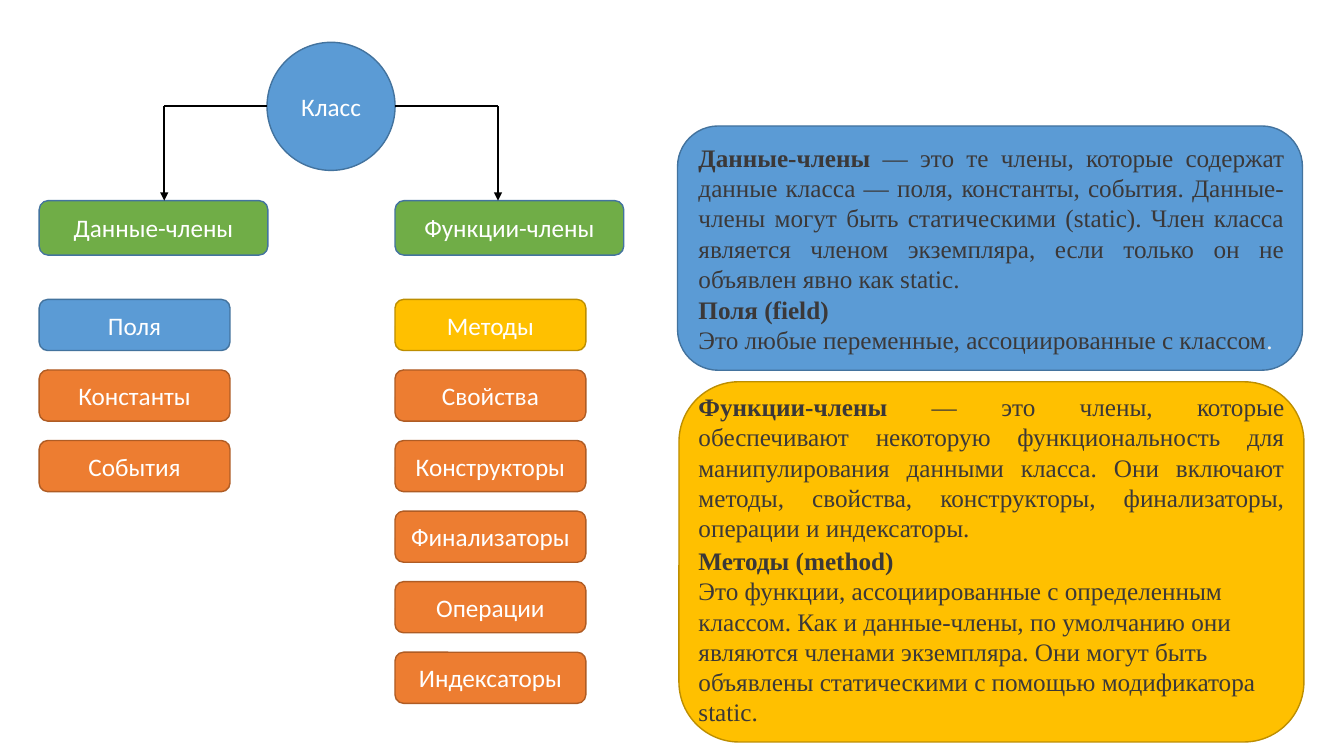
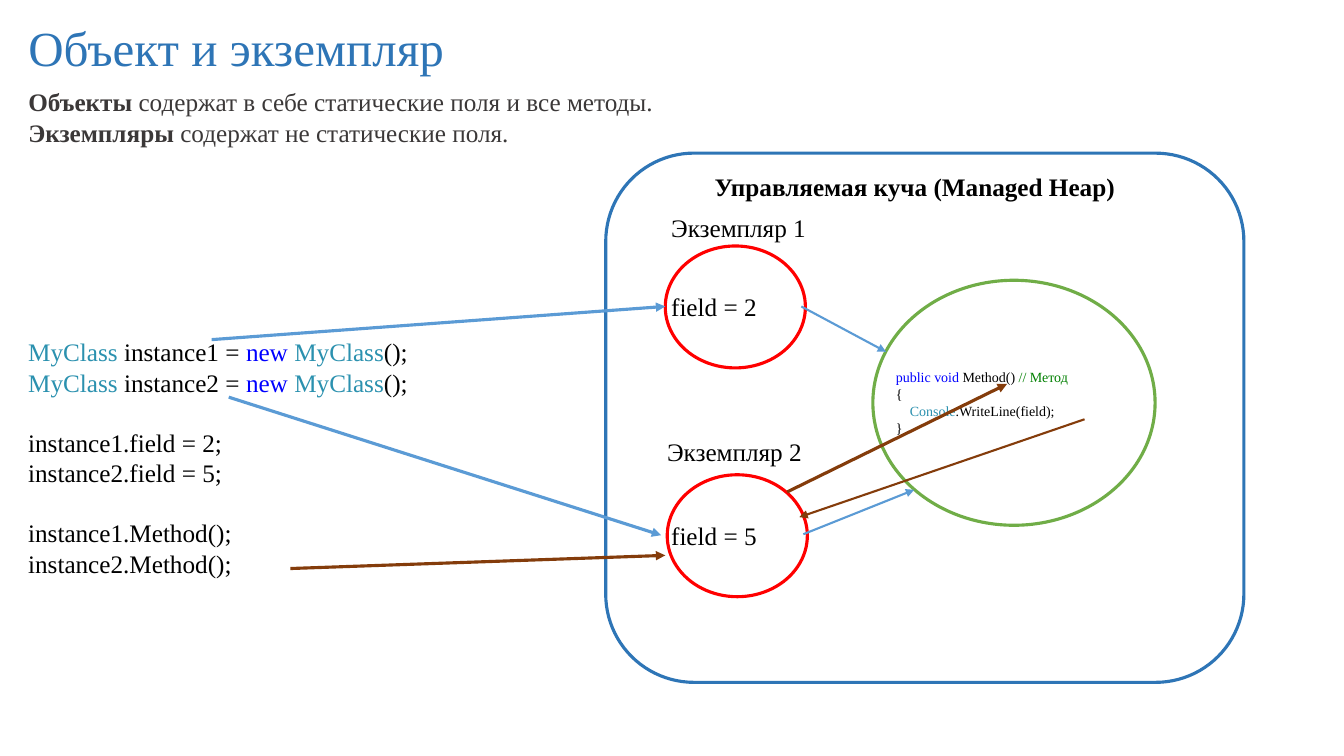
from lxml import etree
from pptx import Presentation
from pptx.dml.color import RGBColor
from pptx.enum.shapes import MSO_CONNECTOR, MSO_SHAPE
from pptx.enum.text import MSO_ANCHOR, PP_ALIGN
from pptx.oxml.ns import qn
from pptx.util import Pt

# Shared style
COLORS = {
    "blue": "5B9BD5", "blue_edge": "43739E", "deep_blue": "2E75B6",
    "green": "70AD47", "orange": "ED7D31", "orange_edge": "AF5C24",
    "gold": "FFC000", "gold_edge": "BD8E00", "brown": "843C0B", "red": "FF0000",
    "ink": "3B3838", "black": "000000", "white": "FFFFFF", "pale": "F2F2F2",
    "type": "2B91AF", "keyword": "0000FF", "comment": "008000",
}
SERIF, SANS = "Times New Roman", "Calibri"

# Slide 1 content: a column is (header, [(member, fill, edge)])
ROOT = "Класс"
COLUMNS = [
    ("Данные-члены", [("Поля", "blue", "blue_edge"),
                      ("Константы", "orange", "orange_edge"),
                      ("События", "orange", "orange_edge")]),
    ("Функции-члены", [("Методы", "gold", "gold_edge"),
                       ("Свойства", "orange", "orange_edge"),
                       ("Конструкторы", "orange", "orange_edge"),
                       ("Финализаторы", "orange", "orange_edge"),
                       ("Операции", "orange", "orange_edge"),
                       ("Индексаторы", "orange", "orange_edge")]),
]
# Panel: box, fill, edge, then (top, height, alignment, paragraphs) of each text.
# A paragraph is a list of runs (text, colour, bold).
PANELS = [
    ((484, 90, 446.4, 174.5), "blue", "blue_edge", [
        (98, 116.6, PP_ALIGN.JUSTIFY, [[
            ("Данные-члены", "ink", True),
            (" — это те члены, которые содержат данные класса — поля, константы, "
             "события. Данные-члены могут быть статическими (static). Член класса "
             "является членом экземпляра, если только он не объявлен явно как static.",
             "ink", False)]]),
        (206.8, 51, PP_ALIGN.LEFT, [
            [("Поля (field)", "ink", True)],
            [("Это любые переменные, ассоциированные с классом", "ink", False),
             (".", "pale", False)]]),
    ]),
    ((485, 272.7, 446.4, 257.3), "gold", "gold_edge", [
        (276, 116.6, PP_ALIGN.JUSTIFY, [[
            ("Функции-члены", "ink", True),
            (" — это члены, которые обеспечивают некоторую функциональность для "
             "манипулирования данными класса. Они включают методы, свойства, "
             "конструкторы, финализаторы, операции и индексаторы.", "ink", False)]]),
        (386, 138.2, PP_ALIGN.LEFT, [
            [("Методы (method)", "ink", True)],
            [("Это функции, ассоциированные с определенным классом. Как и "
              "данные-члены, по умолчанию они являются членами экземпляра. Они могут "
              "быть объявлены статическими с помощью модификатора static.",
              "ink", False)]]),
    ]),
]

# Slide 2 content
TITLE = "Объект и экземпляр"
SUMMARY = [
    [("Объекты", "ink", True),
     (" содержат в себе статические поля и все методы.", "ink", False)],
    [("Экземпляры ", "ink", True), ("содержат не статические поля.", "ink", False)],
]
HEAP_LABEL = "Управляемая куча (Managed Heap)"
CREATION = [[("MyClass", "type", False), (f" instance{n} = ", "black", False),
             ("new ", "keyword", False), ("MyClass", "type", False),
             ("();", "black", False)] for n in (1, 2)]
USAGE = [[(line, "black", False)] for line in (
    "instance1.field = 2;", "instance2.field = 5;",
    "instance1.Method();", "instance2.Method();")]
METHOD = [
    [("public void", "keyword", False), (" Method() ", "black", False),
     ("// Метод", "comment", False)],
    [("{", "black", False)],
    [("Console", "type", False), (".WriteLine(field);", "black", False)],
    [("}", "black", False)],
]
# Instance: label, label left and top, field, field top, ellipse left and top
INSTANCES = [
    ("Экземпляр 1", 472.3, 148.3, "field = 2", 204.5, 475.2, 175.7),
    ("Экземпляр 2", 469.4, 308.2, "field = 5", 368, 476.6, 339.1),
]
ARROWS = [  # start, end, colour, width
    ((151.2, 242.6), (475.2, 218.9), "blue", 2.25),
    ((163.4, 283.7), (472.3, 382.3), "blue", 2.25),
    ((572.4, 218.9), (632.9, 251.3), "blue", 1.5),
    ((573.8, 381.6), (653, 349.9), "blue", 1.5),
    ((207.4, 406.1), (475.2, 396.7), "brown", 2.25),
    ((562.3, 351.4), (719.3, 274.3), "brown", 2.25),
    ((774.7, 299.5), (571, 369.4), "brown", 1.5),
]


def rgb(name):
    return RGBColor.from_string(COLORS[name])


def points(*values):
    return [Pt(value) for value in values]


def write(frame, paragraphs, size=18, font=SERIF, align=PP_ALIGN.LEFT):
    frame.word_wrap = True
    for index, runs in enumerate(paragraphs):
        paragraph = frame.paragraphs[0] if index == 0 else frame.add_paragraph()
        paragraph.alignment = align
        for text, color, bold in runs:
            run = paragraph.add_run()
            run.text = text
            run.font.size, run.font.name, run.font.bold = Pt(size), font, bold
            run.font.color.rgb = rgb(color)
    return frame


def add_text(slide, box, paragraphs, **style):
    return write(slide.shapes.add_textbox(*points(*box)).text_frame,
                 paragraphs, **style)


def add_figure(slide, kind, box, fill, edge, width=1, label=None):
    shape = slide.shapes.add_shape(kind, *points(*box))
    shape.shadow.inherit = False
    shape.fill.solid()
    shape.fill.fore_color.rgb = rgb(fill)
    shape.line.color.rgb = rgb(edge)
    shape.line.width = Pt(width)
    if label:
        shape.text_frame.vertical_anchor = MSO_ANCHOR.MIDDLE
        write(shape.text_frame, [[(label, "white", False)]], font=SANS,
              align=PP_ALIGN.CENTER)


def add_line(slide, start, end, color, width, arrow=True):
    line = slide.shapes.add_connector(MSO_CONNECTOR.STRAIGHT, *points(*start, *end))
    line.line.color.rgb = rgb(color)
    line.line.width = Pt(width)
    if arrow:
        etree.SubElement(line.line._get_or_add_ln(), qn("a:tailEnd"), type="triangle")
    etree.SubElement(line._element.spPr, qn("a:effectLst"))


def indent(paragraph, left):
    properties = paragraph._p.get_or_add_pPr()
    properties.set("marL", str(Pt(left)))
    properties.set("indent", "0")
    return properties


def place(placeholder, box, anchor):
    placeholder.left, placeholder.top, placeholder.width, placeholder.height = points(*box)
    placeholder.text_frame.vertical_anchor = anchor
    return placeholder.text_frame


deck = Presentation()
deck.slide_width, deck.slide_height = points(960, 540)

# Slide 1: class tree
slide = deck.slides.add_slide(deck.slide_layouts[6])
CENTER_X, CENTER_Y, DIAMETER, REACH = 236.5, 76, 91.5, 119.2
HEADER_TOP, MEMBER_TOP, MEMBER_STEP = 143.3, 213.9, 50.4
radius = DIAMETER / 2
add_figure(slide, MSO_SHAPE.OVAL,
           (CENTER_X - radius, CENTER_Y - radius, DIAMETER, DIAMETER),
           "blue", "blue_edge", label=ROOT)
for side, left, (header, members) in zip((-1, 1), (28, 282.2), COLUMNS):
    add_figure(slide, MSO_SHAPE.ROUNDED_RECTANGLE, (left, HEADER_TOP, 163.4, 39),
               "green", "blue_edge", label=header)
    for row, (member, fill, edge) in enumerate(members):
        add_figure(slide, MSO_SHAPE.ROUNDED_RECTANGLE,
                   (left, MEMBER_TOP + row * MEMBER_STEP, 136.3, 36.5),
                   fill, edge, label=member)
    corner = (CENTER_X + side * REACH, CENTER_Y)
    add_line(slide, (CENTER_X + side * radius, CENTER_Y), corner, "black", 1.5, arrow=False)
    add_line(slide, corner, (corner[0], HEADER_TOP), "black", 1.5)

# Slide 1: definitions
for box, fill, edge, texts in PANELS:
    add_figure(slide, MSO_SHAPE.ROUNDED_RECTANGLE, box, fill, edge)
    for top, height, align, paragraphs in texts:
        add_text(slide, (491.8, top, 432.7, height), paragraphs, align=align)

# Slide 2: title and summary
slide = deck.slides.add_slide(deck.slide_layouts[1])
write(place(slide.shapes.title, (13, 8.6, 333.4, 49.7), MSO_ANCHOR.TOP),
      [[(TITLE, "deep_blue", False)]], size=35)
summary = write(place(slide.placeholders[1], (13, 58.3, 483.8, 51), MSO_ANCHOR.TOP), SUMMARY)
for paragraph in summary.paragraphs:
    paragraph.space_before = Pt(0)
    etree.SubElement(indent(paragraph, 0), qn("a:buNone"))

# Slide 2: heap, code and method
add_figure(slide, MSO_SHAPE.ROUNDED_RECTANGLE, (432.7, 109.4, 455.8, 378),
           "white", "deep_blue", 2.25)
code = add_text(slide, (13, 236.9, 502.6, 181.4), CREATION + USAGE)
for first_of_block in (2, 4):
    code.paragraphs[first_of_block].space_before = Pt(21.5)
add_figure(slide, MSO_SHAPE.OVAL, (623.5, 200.2, 201.6, 175), "white", "green", 2.25)
method = add_text(slide, (632.9, 259.9, 208.8, 55.4), METHOD, size=10)
indent(method.paragraphs[2], 10)
add_text(slide, (503.3, 118.8, 308.9, 28.8), [[(HEAP_LABEL, "black", True)]])

# Slide 2: instances and references
for label, label_left, label_top, field, field_top, left, top in INSTANCES:
    add_figure(slide, MSO_SHAPE.OVAL, (left, top, 100.1, 87.1), "white", "red", 2.25)
    add_text(slide, (label_left, label_top, 133.2, 28.8), [[(label, "black", False)]])
    add_text(slide, (472.3, field_top, 79.9, 28.8), [[(field, "black", False)]])
for start, end, color, width in ARROWS:
    add_line(slide, start, end, color, width)

deck.save("out.pptx")
